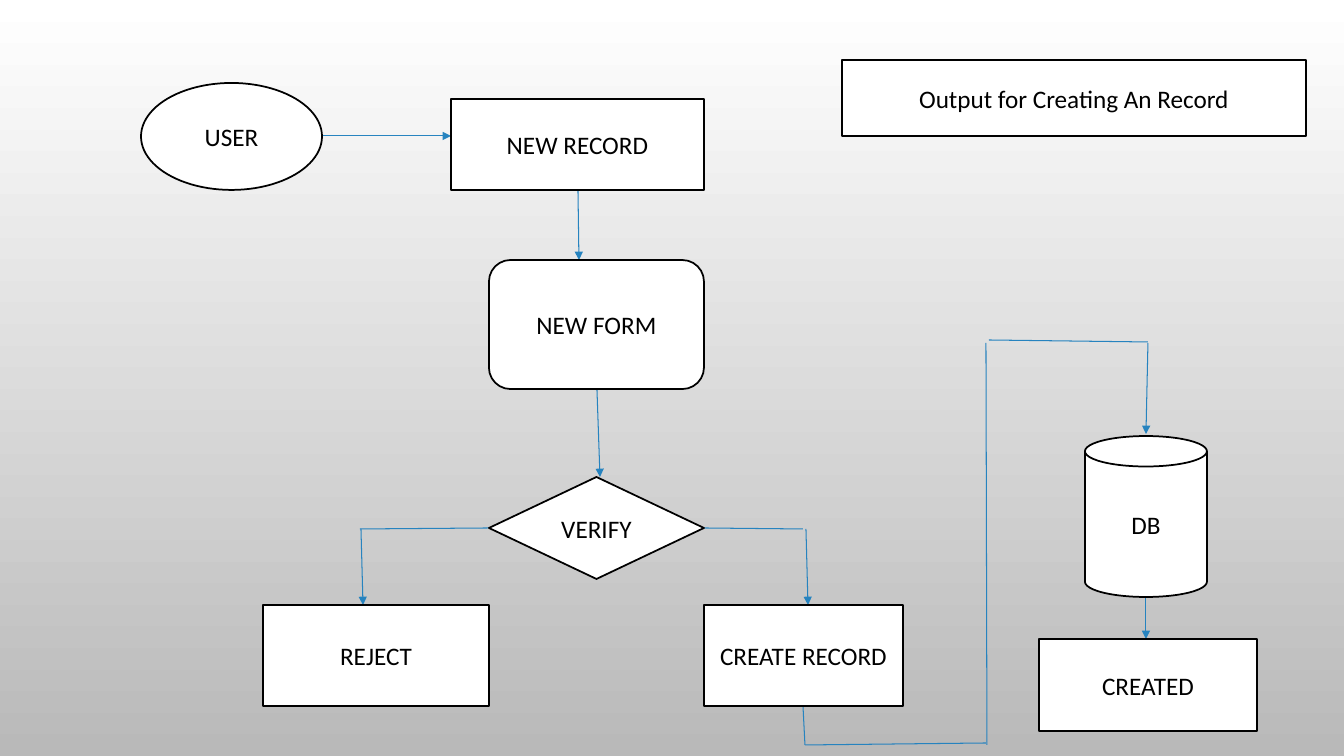
from pptx import Presentation
from pptx.dml.color import RGBColor
from pptx.enum.shapes import MSO_CONNECTOR, MSO_SHAPE as S
from pptx.enum.text import MSO_ANCHOR, PP_ALIGN
from pptx.oxml.ns import qn
from pptx.util import Pt
from lxml import etree

W, H = 1344, 756  # slide size in px
SCALE = 12192000 / W  # EMU per px
BLACK, WHITE, GREY, BLUE = "000000", "FFFFFF", "B9B9B9", "2683BF"

# Flowchart nodes: text, shape, left, top, width, height
NODES = [
    ("USER", S.OVAL, 141, 83, 181, 107),
    ("NEW RECORD", S.RECTANGLE, 451, 99, 253, 91),
    ("NEW FORM", S.ROUNDED_RECTANGLE, 489, 260, 215, 129),
    ("VERIFY", S.FLOWCHART_DECISION, 489, 477, 215, 102),
    ("REJECT", S.FLOWCHART_PROCESS, 263, 605, 226, 101),
    ("CREATE RECORD", S.FLOWCHART_PROCESS, 704, 605, 199, 101),
    ("DB", S.CAN, 1085, 436, 122, 161),
    ("CREATED", S.RECTANGLE, 1039, 639, 218, 92),
    ("Output for Creating An Record", S.RECTANGLE, 842, 60, 464, 76),
]

# Plain lines and arrows: x1, y1, x2, y2
LINES = [
    (489, 528, 360, 529),
    (704, 528, 803, 529),
    (803, 706, 805, 745),
    (805, 745, 986, 743),
    (987, 745, 986, 343),
    (989, 340, 1148, 342),
]
ARROWS = [
    (322, 136, 451, 136),
    (578, 190, 579, 260),
    (597, 390, 600, 477),
    (361, 529, 363, 605),
    (806, 529, 808, 605),
    (1148, 343, 1146, 434),
    (1146, 597, 1146, 639),
]


def px(n):
    return round(n * SCALE)


def rgb(color):
    return RGBColor.from_string(color)


def set_text(s, text, size=18, font="Calibri", color=BLACK):
    tf = s.text_frame
    tf.word_wrap = True
    tf.vertical_anchor = MSO_ANCHOR.MIDDLE
    p = tf.paragraphs[0]
    p.alignment = PP_ALIGN.CENTER
    r = p.add_run()
    r.text = text
    r.font.size, r.font.name = Pt(size), font
    r.font.color.rgb = rgb(color)


def add_node(slide, text, kind, *box):
    s = slide.shapes.add_shape(kind, *map(px, box))
    s.shadow.inherit = False
    s.fill.solid()
    s.fill.fore_color.rgb = rgb(WHITE)
    s.line.color.rgb = rgb(BLACK)
    s.line.width = Pt(1.25)
    set_text(s, text)


def add_line(slide, ends, arrow=False):
    c = slide.shapes.add_connector(MSO_CONNECTOR.STRAIGHT, *map(px, ends))
    c.line.color.rgb = rgb(BLUE)
    c.line.width = Pt(0.75)
    if arrow:
        ln = c.line._get_or_add_ln()
        etree.SubElement(ln, qn("a:tailEnd"), type="triangle")
    etree.SubElement(c._element.spPr, qn("a:effectLst"))


def main():
    prs = Presentation()
    prs.slide_width, prs.slide_height = px(W), px(H)
    slide = prs.slides.add_slide(prs.slide_layouts[6])

    # Background fades from white at the top to grey
    fill = slide.background.fill
    fill.gradient()
    fill.gradient_angle = 270
    for stop, color in zip(fill.gradient_stops, (WHITE, GREY)):
        stop.color.rgb = rgb(color)

    # Connections, then nodes on top
    for ends in LINES:
        add_line(slide, ends)
    for ends in ARROWS:
        add_line(slide, ends, arrow=True)
    for node in NODES:
        add_node(slide, *node)

    prs.save("out.pptx")


if __name__ == "__main__":
    main()
